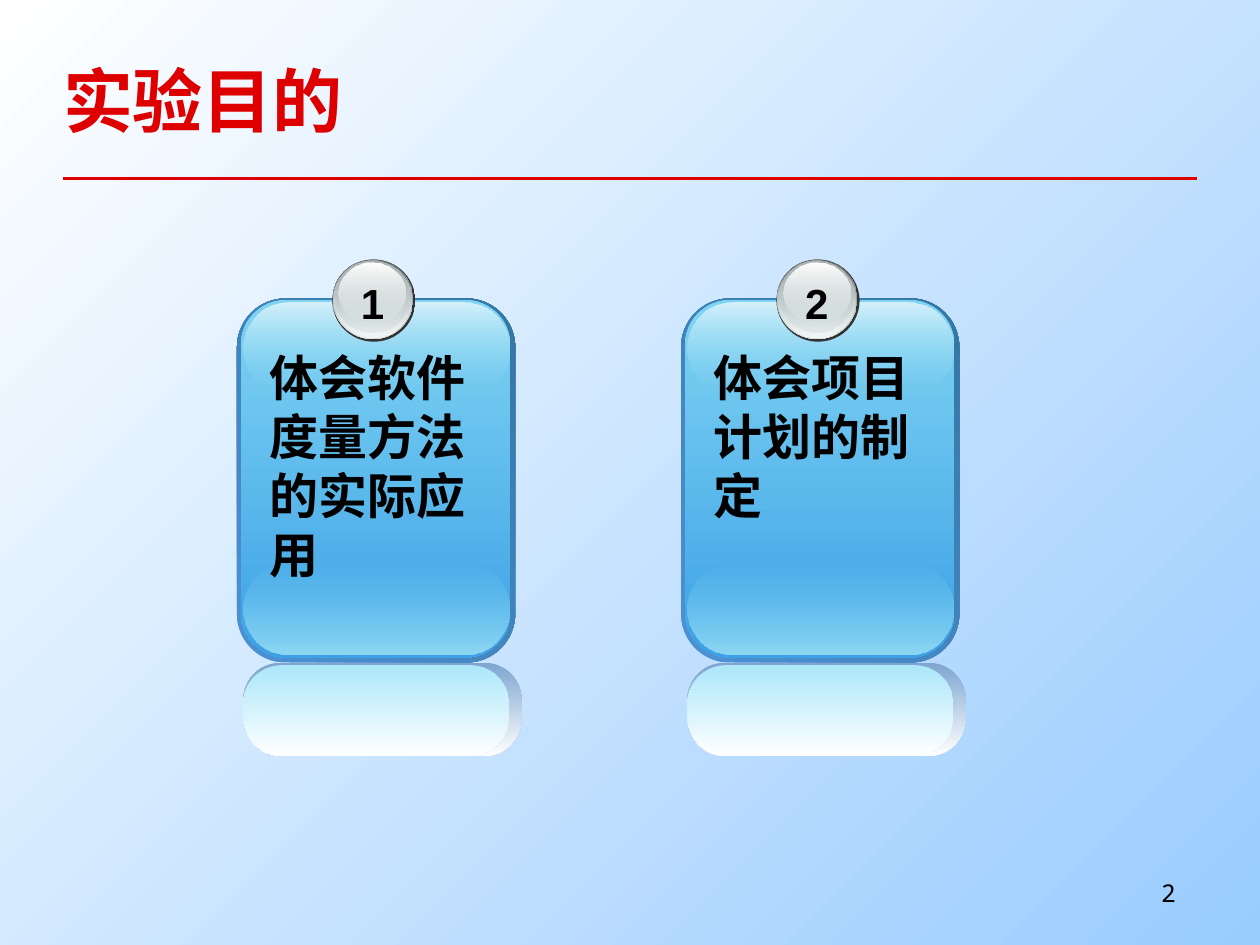
from lxml.etree import SubElement
from pptx import Presentation
from pptx.dml.color import RGBColor
from pptx.enum.shapes import MSO_CONNECTOR, MSO_SHAPE
from pptx.enum.text import MSO_ANCHOR, PP_ALIGN
from pptx.oxml.ns import qn
from pptx.util import Pt

RED, BLACK = "DE0000", "000000"
CJK = "Noto Sans CJK SC"
ROUND, OVAL = MSO_SHAPE.ROUNDED_RECTANGLE, MSO_SHAPE.OVAL

# kind, corner, (left, top, width, height) in the card,
# (colour, opacity %) at both ends, clockwise angle; from back to front
CARD_LAYERS = [
    (ROUND, 0.4, (3.6, 230.4, 159, 53.3), ("7EA5D0", 100), ("FFFFFF", 100), 90),
    (ROUND, 0.175, (0, 22.3, 159, 208), ("4E91D4", 100), ("3477A4", 100), 315),
    (ROUND, 0.168, (2.2, 23, 154, 204.5), ("80D4F2", 100), ("3CA1E6", 100), 90),
    (ROUND, 0.5, (3.6, 173.5, 152, 52), ("80D4F2", 0), ("8FD9F4", 100), 90),
    (ROUND, 0.5, (3.6, 24.5, 152, 52), ("D5F1FB", 100), ("80D4F2", 0), 90),
    (ROUND, 0.43, (3.6, 231.8, 152, 52), ("ACE7FA", 100), ("FFFFFF", 100), 90),
    (OVAL, None, (54.5, 0, 47.5, 47), ("333333", 100), ("333333", 100), 90),
    (OVAL, None, (54.7, 0, 46, 45.4), ("636869", 100), ("D6E1E2", 100), 90),
    (OVAL, None, (55.3, 0.7, 44.6, 44), ("D6E1E2", 0), ("F1F5F5", 100), 90),
    (OVAL, None, (56, 0.7, 42.5, 41), ("AAB2B3", 100), ("D6E1E2", 48), 90),
    (OVAL, None, (58.3, 2, 38.2, 33.8), ("FFFFFF", 100), ("D6E1E2", 38), 90),
]
GOALS = ["体会软件度量方法的实际应用", "体会项目计划的制定"]


def color(hex_code):
    return RGBColor.from_string(hex_code)


def set_gradient(fill, start, end, angle):
    fill.gradient()
    fill.gradient_angle = 360 - angle
    for stop, (hex_code, _), position in zip(fill.gradient_stops, (start, end), (0, 1)):
        stop.color.rgb = color(hex_code)
        stop.position = position


def set_opacities(shape, opacities):
    """Give each gradient stop of the shape its opacity in percent."""
    for stop_color, opacity in zip(shape.element.spPr.iter(qn("a:srgbClr")), opacities):
        if opacity < 100:
            SubElement(stop_color, qn("a:alpha"), val=str(opacity * 1000))


def write(frame, text, size, font_name, hex_code=BLACK, bold=False, align=PP_ALIGN.LEFT):
    frame.word_wrap = True
    paragraph = frame.paragraphs[0]
    paragraph.text = text
    paragraph.alignment = align
    font = paragraph.font
    font.size, font.bold, font.name = Pt(size), bold, font_name
    font.color.rgb = color(hex_code)
    defaults = paragraph._p.pPr.find(qn("a:defRPr"))
    SubElement(defaults, qn("a:ea"), typeface=font_name)
    return paragraph


def add_label(slide, box, *args, **kwargs):
    frame = slide.shapes.add_textbox(*map(Pt, box)).text_frame
    return write(frame, *args, **kwargs)


def add_header(slide, left, top, width, height, text):
    title = slide.shapes.title
    title.left, title.top, title.width, title.height = map(Pt, (left, top, width, height))
    frame = title.text_frame
    frame.margin_left = frame.margin_right = frame.margin_top = frame.margin_bottom = 0
    frame.vertical_anchor = MSO_ANCHOR.MIDDLE
    write(frame, text, 40, CJK, RED, bold=True)

    bottom = top + height
    rule = slide.shapes.add_connector(
        MSO_CONNECTOR.STRAIGHT, Pt(left), Pt(bottom), Pt(left + width), Pt(bottom))
    rule.line.color.rgb = color(RED)
    rule.line.width = Pt(1.5)
    SubElement(rule._element.spPr, qn("a:effectLst"))


def add_card(slide, left, top, number, goal):
    for kind, corner, (x, y, width, height), start, end, angle in CARD_LAYERS:
        layer = slide.shapes.add_shape(
            kind, Pt(left + x), Pt(top + y), Pt(width), Pt(height))
        layer.shadow.inherit = False
        layer.line.fill.background()
        if corner is not None:
            layer.adjustments[0] = corner
        set_gradient(layer.fill, start, end, angle)
        set_opacities(layer, (start[1], end[1]))

    add_label(slide, (left + 57.5, top + 6.5, 40, 36), str(number), 24, "Arial",
              bold=True, align=PP_ALIGN.CENTER)
    paragraph = add_label(slide, (left + 11.7, top + 46.8, 151, 142), goal, 28, CJK,
                          bold=True)
    paragraph.space_before = Pt(6)


def main():
    presentation = Presentation()
    presentation.slide_width, presentation.slide_height = Pt(720), Pt(540)
    slide = presentation.slides.add_slide(presentation.slide_layouts[5])
    set_gradient(slide.background.fill, ("FFFFFF", 100), ("99CCFF", 100), 45)

    add_header(slide, 36, 12, 648, 90, "实验目的")
    for index, goal in enumerate(GOALS):
        add_card(slide, 135.4 + index * 253.8, 148.3, index + 1, goal)
    add_label(slide, (564, 498, 115, 27), "2", 14, "Noto Sans Mono", align=PP_ALIGN.RIGHT)

    presentation.save("out.pptx")


if __name__ == "__main__":
    main()
